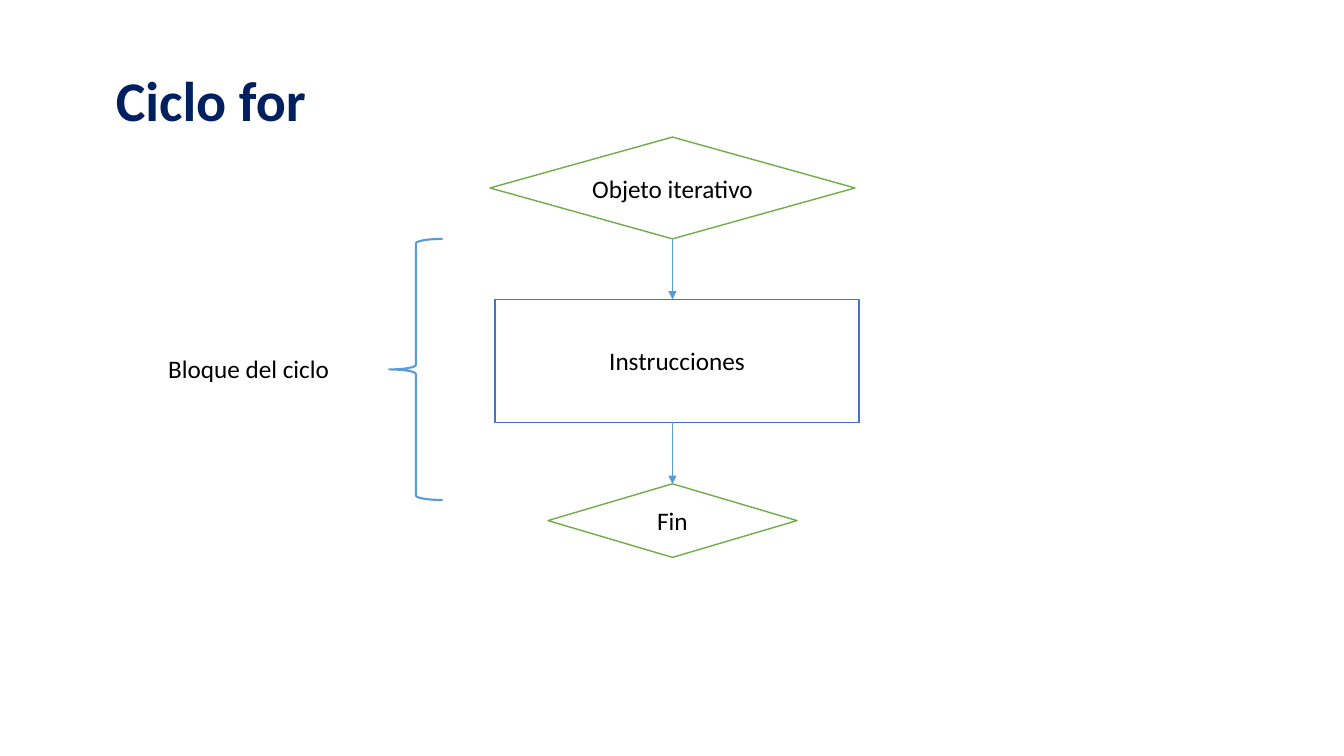
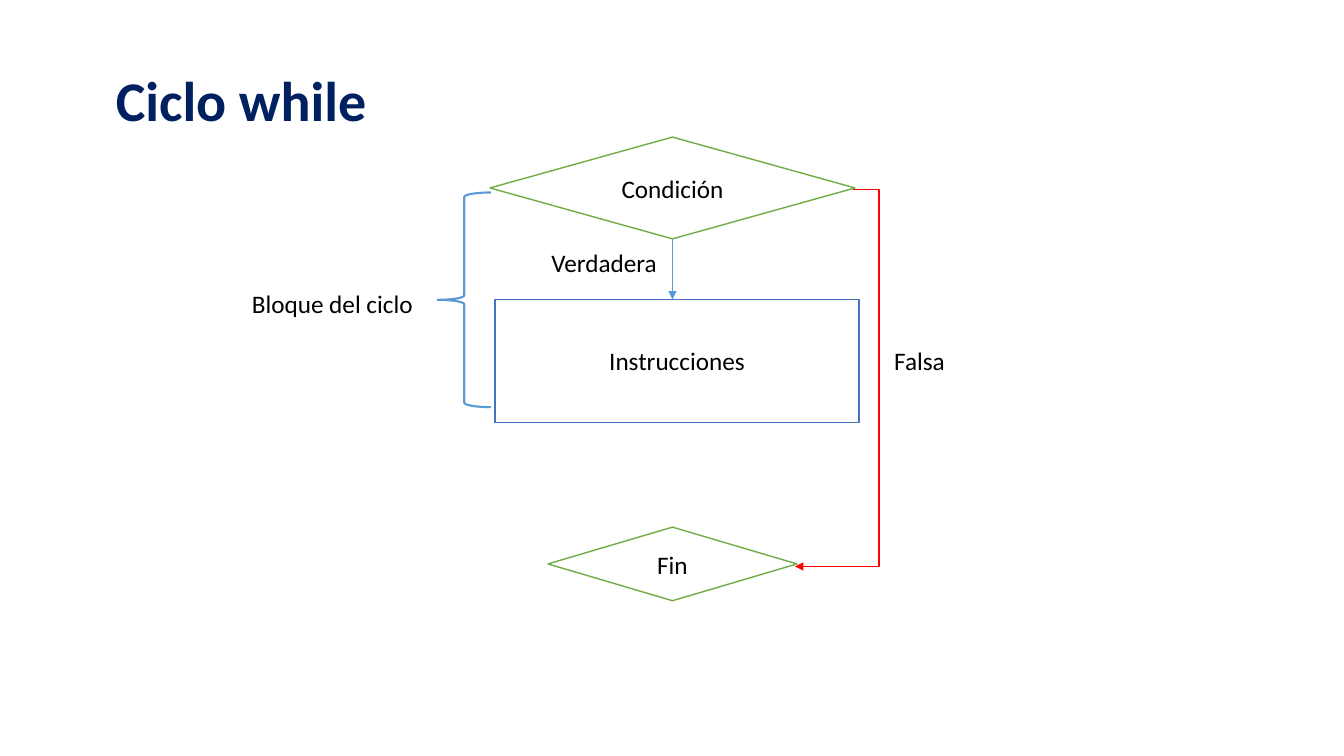
from lxml import etree
from pptx import Presentation
from pptx.dml.color import RGBColor
from pptx.enum.shapes import MSO_CONNECTOR, MSO_SHAPE
from pptx.enum.text import MSO_ANCHOR, PP_ALIGN
from pptx.oxml.ns import qn
from pptx.util import Inches, Pt

FONT = "Calibri"
NAVY, BLACK, WHITE = "002060", "000000", "FFFFFF"
GREEN, BLUE, SKY, RED = "70AD47", "4472C4", "5B9BD5", "FF0000"

TEST_SIZE = (3.62, 1.01)
STEP_SIZE = (3.61, 1.22)
END_SIZE = (2.47, 0.73)
STEP_SHIFT = 0.05
ARROW_GAP = 0.6


def color(value):
    return RGBColor.from_string(value)


def write(shape, text, size=18, ink=BLACK, bold=False, align=PP_ALIGN.LEFT,
          anchor=MSO_ANCHOR.TOP, wrap=True):
    frame = shape.text_frame
    frame.text = text
    frame.word_wrap = wrap
    frame.vertical_anchor = anchor
    para = frame.paragraphs[0]
    para.alignment = align
    font = para.runs[0].font
    font.name, font.size, font.bold = FONT, Pt(size), bold
    font.color.rgb = color(ink)
    return para


def add_title(page, text):
    box = page.shapes.add_textbox(Inches(1.05), Inches(0.3), Inches(11.5), Inches(1.45))
    para = write(box, text, size=40, ink=NAVY, bold=True, anchor=MSO_ANCHOR.MIDDLE)
    para.line_spacing = 0.9


def add_label(page, left, top, width, text):
    box = page.shapes.add_textbox(Inches(left), Inches(top), Inches(width), Inches(0.4))
    write(box, text)


def add_outline(page, kind, left, top, size, line, weight=1):
    shape = page.shapes.add_shape(kind, Inches(left), Inches(top), *map(Inches, size))
    shape.shadow.inherit = False
    shape.line.color.rgb = color(line)
    shape.line.width = Pt(weight)
    return shape


def add_node(page, kind, left, top, size, line, text):
    node = add_outline(page, kind, left, top, size, line)
    node.fill.solid()
    node.fill.fore_color.rgb = color(WHITE)
    write(node, text, align=PP_ALIGN.CENTER, anchor=MSO_ANCHOR.MIDDLE, wrap=False)


def add_arrow(page, start, end, line, weight, kind=MSO_CONNECTOR.STRAIGHT):
    arrow = page.shapes.add_connector(kind, *map(Inches, start + end))
    arrow.line.color.rgb = color(line)
    arrow.line.width = Pt(weight)
    etree.SubElement(arrow.line._get_or_add_ln(), qn("a:tailEnd"), type="triangle")
    etree.SubElement(arrow._element.spPr, qn("a:effectLst"))
    return arrow


def add_bent_arrow(page, start, end, turn, line, weight):
    """Elbow arrow whose vertical part lies at x = turn."""
    arrow = add_arrow(page, start, end, line, weight, MSO_CONNECTOR.ELBOW)
    ratio = (turn - start[0]) / (end[0] - start[0])
    guides = arrow._element.spPr.find(qn("a:prstGeom")).find(qn("a:avLst"))
    etree.SubElement(guides, qn("a:gd"), name="adj1", fmla=f"val {round(ratio * 100000)}")


def add_flow(page, left, top, test, end_gap, arrow_weight):
    """Test, instructions and end below each other; returns centre, step bottom and end top."""
    center = left + TEST_SIZE[0] / 2
    test_bottom = top + TEST_SIZE[1]
    step_top = test_bottom + ARROW_GAP
    step_bottom = step_top + STEP_SIZE[1]
    end_top = step_bottom + end_gap
    add_node(page, MSO_SHAPE.DIAMOND, left, top, TEST_SIZE, GREEN, test)
    add_arrow(page, (center, test_bottom), (center, step_top), SKY, arrow_weight)
    add_node(page, MSO_SHAPE.RECTANGLE, left + STEP_SHIFT, step_top, STEP_SIZE, BLUE,
             "Instrucciones")
    add_node(page, MSO_SHAPE.DIAMOND, center - END_SIZE[0] / 2, end_top, END_SIZE, GREEN,
             "Fin")
    return center, step_bottom, end_top


def add_loop_brace(page, left, top, height, label_left, label_top):
    brace = add_outline(page, MSO_SHAPE.LEFT_BRACE, left, top, (0.53, height), SKY, 1.5)
    brace.fill.background()
    add_label(page, label_left, label_top, 2.04, "Bloque del ciclo")


def build_for(page, left=4.86, top=1.36):
    add_title(page, "Ciclo for")
    center, step_bottom, end_top = add_flow(page, left, top, "Objeto iterativo", 0.61, 0.5)
    add_arrow(page, (center, step_bottom), (center, end_top), SKY, 0.5)
    add_loop_brace(page, left - 1, top + TEST_SIZE[1], 2.59, left - 3.29, top + 2.1)


def build_while(page, left=4.86, top=1.36):
    add_title(page, "Ciclo while")
    center, _, end_top = add_flow(page, left, top, "Condición", 1.04, 1.25)
    add_loop_brace(page, left - 0.52, top + 0.55, 2.13, left - 2.46, top + 1.45)
    add_label(page, center - 1.3, top + 1.04, 1.3, "Verdadera")
    right = left + TEST_SIZE[0]
    add_bent_arrow(page, (right - 0.02, top + 0.52),
                   (center + END_SIZE[0] / 2 - 0.02, end_top + 0.39),
                   right + 0.24, RED, 1.25)
    add_label(page, right + 0.29, top + 2.02, 0.82, "Falsa")


def main():
    deck = Presentation()
    deck.slide_width, deck.slide_height = Inches(13.33), Inches(7.5)
    for build in (build_for, build_while):
        build(deck.slides.add_slide(deck.slide_layouts[6]))
    deck.save("out.pptx")


if __name__ == "__main__":
    main()
